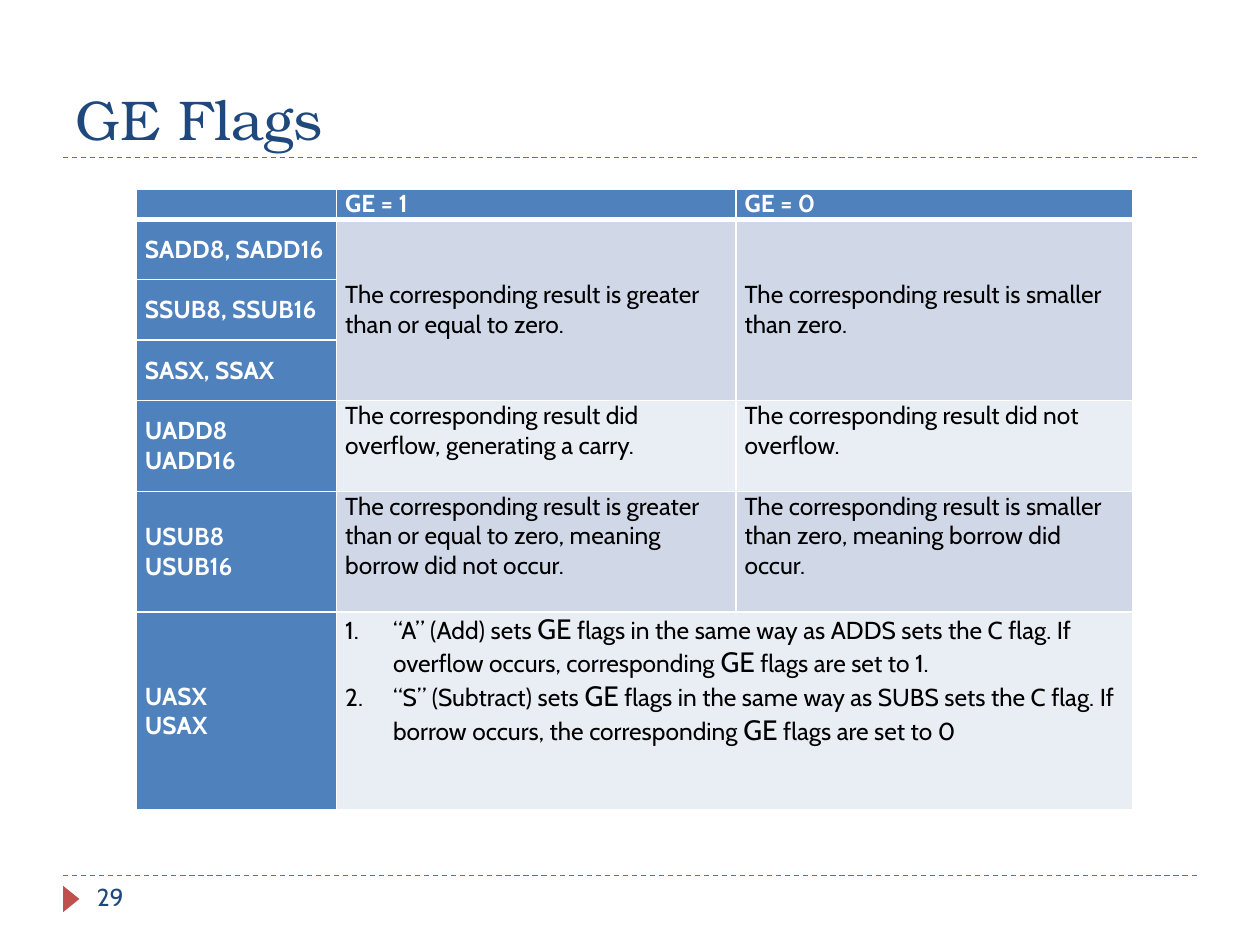
from lxml import etree
from pptx import Presentation
from pptx import util as u
from pptx.dml.color import RGBColor
from pptx.enum import dml, shapes, text
from pptx.oxml import ns

NAVY = RGBColor(0x1F, 0x49, 0x7D)
RED = RGBColor(0xC0, 0x50, 0x4D)
BLUE = RGBColor(0x4F, 0x81, 0xBD)
BAND_DARK = RGBColor(0xD0, 0xD8, 0xE8)
BAND_LIGHT = RGBColor(0xE9, 0xED, 0xF4)
WHITE = RGBColor(0xFF, 0xFF, 0xFF)
BLACK = RGBColor(0, 0, 0)

BODY_FONT, TITLE_FONT = "Cabin", "TeX Gyre Bonum"
WIDTH, HEIGHT, MARGIN = 10, 7.5, 0.5
TITLE_RULE, FOOTER_RULE = 1.25, 6.95
TABLE_LEFT, TABLE_TOP = 1.08, 1.5
LINE = 0.24  # height of one line of table text
COLUMNS = [1.59, 3.17, 3.15]
ROWS = [LINE * lines for lines in (1, 2, 2, 2, 3, 4)] + [1.57]
TOP, MIDDLE, BOTTOM = (text.MSO_ANCHOR.TOP, text.MSO_ANCHOR.MIDDLE,
                       text.MSO_ANCHOR.BOTTOM)

HEADERS = ["", "GE = 1", "GE = 0"]
INSTRUCTIONS = [["SADD8, SADD16"], ["SSUB8, SSUB16"], ["SASX, SSAX"],
                ["UADD8", "UADD16"], ["USUB8", "USUB16"], ["UASX", "USAX"]]
# first row, last row, fill, anchor, meaning of GE = 1, meaning of GE = 0
MEANINGS = [
    (1, 3, BAND_DARK, MIDDLE,
     "The corresponding result is greater than or equal to zero.",
     "The corresponding result is smaller than zero."),
    (4, 4, BAND_LIGHT, TOP,
     "The corresponding result did overflow, generating a carry.",
     "The corresponding result did not overflow."),
    (5, 5, BAND_DARK, TOP,
     "The corresponding result is greater than or equal to zero, meaning borrow did not occur.",
     "The corresponding result is smaller than zero, meaning borrow did occur."),
]
EXCHANGE_RULES = [
    "“A” (Add) sets GE flags in the same way as ADDS sets the C flag. "
    "If overflow occurs, corresponding GE flags are set to 1.",
    "“S” (Subtract) sets GE flags in the same way as SUBS sets the C flag. "
    "If borrow occurs, the corresponding GE flags are set to 0",
]


def add_element(parent, tag, **attributes):
    return etree.SubElement(parent, ns.qn(tag), attributes)


def put_text(frame, lines, size=14, color=BLACK, font=BODY_FONT, bold=False,
             align=None, numbered=False, large_term=None, large_size=16):
    """Write one paragraph per line; large_term is set in large_size."""
    for index, line in enumerate(lines):
        para = frame.paragraphs[0] if index == 0 else frame.add_paragraph()
        para.alignment = align
        if numbered:
            props = para._p.get_or_add_pPr()
            indent = u.Inches(0.38)
            props.set("marL", str(indent))
            props.set("indent", str(-indent))
            add_element(props, "a:buFont", typeface="+mj-lt")
            add_element(props, "a:buAutoNum", type="arabicPeriod")
        pieces = [(line, size)]
        if large_term:
            pieces = []
            for part in line.split(large_term):
                pieces += [(part, size), (large_term, large_size)]
            pieces.pop()
        for piece, points in pieces:
            if not piece:
                continue
            span = para.add_run()
            span.text = piece
            span.font.size = u.Pt(points)
            span.font.name = font
            span.font.bold = bold
            span.font.color.rgb = color
        if not line:
            add_element(para._p, "a:endParaRPr", sz=str(size * 100))


def add_text_box(page, left, top, width, height, line, anchor=TOP, **style):
    box = page.shapes.add_textbox(*map(u.Inches, (left, top, width, height)))
    box.text_frame.word_wrap = True
    box.text_frame.vertical_anchor = anchor
    put_text(box.text_frame, [line], **style)


def add_dashed_rule(page, top):
    ends = map(u.Inches, (MARGIN, top, WIDTH - MARGIN, top))
    rule = page.shapes.add_connector(shapes.MSO_CONNECTOR.STRAIGHT, *ends)
    rule.line.color.rgb = RED
    rule.line.width = u.Pt(0.75)
    rule.line.dash_style = dml.MSO_LINE.DASH
    add_element(rule._element.spPr, "a:effectLst")


def add_page_marker(page):
    marker = page.shapes.add_shape(shapes.MSO_SHAPE.ISOSCELES_TRIANGLE,
                                   *map(u.Inches, (0.46, 7.07, 0.21, 0.13)))
    marker.rotation = 90
    marker.shadow.inherit = False
    marker.fill.solid()
    marker.fill.fore_color.rgb = RED
    marker.line.fill.background()


def format_cell(cell, fill, bottom_width=1):
    props = cell._tc.get_or_add_tcPr()
    for side, points in zip("LRTB", (1, 1, 1, bottom_width)):
        border = add_element(props, f"a:ln{side}", w=str(u.Pt(points)))
        solid = add_element(border, "a:solidFill")
        add_element(solid, "a:srgbClr", val=str(WHITE))
    cell.fill.solid()
    cell.fill.fore_color.rgb = fill
    cell.margin_left = cell.margin_right = u.Inches(0.07)
    cell.margin_top = cell.margin_bottom = 0


def fill_cell(cell, lines, anchor=TOP, **style):
    cell.vertical_anchor = anchor
    put_text(cell.text_frame, lines, **style)


def add_flag_table(page):
    bounds = map(u.Inches, (TABLE_LEFT, TABLE_TOP, sum(COLUMNS), sum(ROWS)))
    table = page.shapes.add_table(len(ROWS), len(COLUMNS), *bounds).table
    for column, width in zip(table.columns, COLUMNS):
        column.width = u.Inches(width)
    for row, height in zip(table.rows, ROWS):
        row.height = u.Inches(height)

    heading = dict(color=WHITE, bold=True, align=text.PP_ALIGN.JUSTIFY)
    for column, header in enumerate(HEADERS):
        format_cell(table.cell(0, column), BLUE, bottom_width=3)
        fill_cell(table.cell(0, column), [header], **heading)
    for row, names in enumerate(INSTRUCTIONS, start=1):
        format_cell(table.cell(row, 0), BLUE)
        fill_cell(table.cell(row, 0), names, MIDDLE, **heading)

    for first, last, fill, anchor, *meanings in MEANINGS:
        for column, meaning in enumerate(meanings, start=1):
            for row in range(first, last + 1):
                format_cell(table.cell(row, column), fill)
            if last > first:
                table.cell(first, column).merge(table.cell(last, column))
            fill_cell(table.cell(first, column), [meaning], anchor)

    bottom = len(ROWS) - 1
    for column in (1, 2):
        format_cell(table.cell(bottom, column), BAND_LIGHT)
    table.cell(bottom, 1).merge(table.cell(bottom, 2))
    fill_cell(table.cell(bottom, 1), EXCHANGE_RULES, numbered=True, large_term="GE")


def main():
    deck = Presentation()
    deck.slide_width, deck.slide_height = u.Inches(WIDTH), u.Inches(HEIGHT)
    page = deck.slides.add_slide(deck.slide_layouts[6])
    for top in (FOOTER_RULE, TITLE_RULE):
        add_dashed_rule(page, top)
    add_page_marker(page)
    add_text_box(page, MARGIN, 0.17, WIDTH - 2 * MARGIN, TITLE_RULE - 0.17,
                 "GE Flags", BOTTOM, size=32, font=TITLE_FONT, color=NAVY)
    add_text_box(page, 0.67, FOOTER_RULE, 2.17, 0.4, "29", color=NAVY)
    add_flag_table(page)
    deck.save("out.pptx")


if __name__ == "__main__":
    main()
